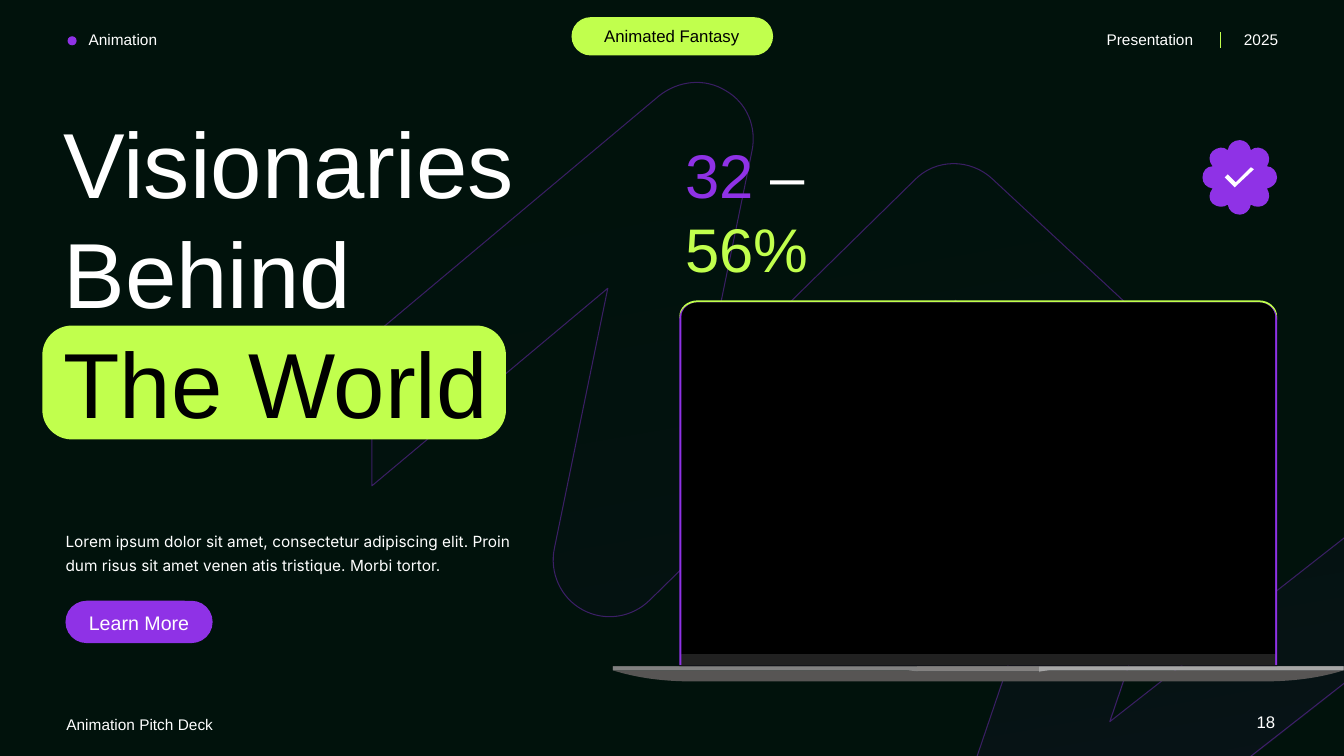
from lxml import etree
from pptx import Presentation
from pptx.dml.color import RGBColor
from pptx.enum.shapes import MSO_CONNECTOR, MSO_SHAPE
from pptx.enum.text import MSO_ANCHOR, MSO_AUTO_SIZE, PP_ALIGN
from pptx.oxml.ns import qn
from pptx.util import Inches, Pt

rgb = RGBColor.from_string
WHITE, BLACK, DARK = "FFFFFF", "000000", "01120C"
LIME, PURPLE = "C1FF4D", "8F32E6"

prs = Presentation()
prs.slide_width, prs.slide_height = Inches(40 / 3), Inches(7.5)
s = prs.slides.add_slide(prs.slide_layouts[1])
s.background.fill.solid()
s.background.fill.fore_color.rgb = rgb(DARK)


def write(sp, box, runs, size, font="Arial", align=PP_ALIGN.LEFT, top=0.05):
    """Place a text shape in front and fill it with coloured runs."""
    s.shapes._spTree.append(sp._element)
    sp.left, sp.top, sp.width, sp.height = [Inches(v) for v in box]
    tf = sp.text_frame
    tf.word_wrap, tf.auto_size = True, MSO_AUTO_SIZE.NONE
    tf.vertical_anchor, tf.margin_top = MSO_ANCHOR.TOP, Inches(top)
    p = tf.paragraphs[0]
    p.alignment = align
    for text, color in runs:
        r = p.add_run()
        r.text = text
        r.font.size, r.font.name = Pt(size), font
        r.font.color.rgb = rgb(color)
    return p


def outline(d, color=None):
    """Draw a closed path of M, L and C steps, in inches."""
    steps = []
    for step in d.split(","):
        v = [Inches(float(n)) for n in step.split()[1:]]
        steps.append(list(zip(v[::2], v[1::2])))
    ends = [step[-1] for step in steps]
    fb = s.shapes.build_freeform(*ends[0], scale=1.0)
    fb.add_line_segments(ends[1:], close=True)
    sp = fb.convert_to_shape()
    # Turn three-point steps into Bezier curves
    segments = list(next(sp._element.iter(qn("a:path"))))
    for segment, step in zip(segments, steps):
        if len(step) == 3:
            segment.tag = qn("a:cubicBezTo")
            segment.clear()
            for x, y in step:
                pt = etree.SubElement(segment, qn("a:pt"))
                pt.set("x", str(x - sp.left))
                pt.set("y", str(y - sp.top))
    sp.shadow.inherit = False
    sp.line.fill.background()
    if color:
        sp.fill.solid()
        sp.fill.fore_color.rgb = rgb(color)
    return sp


# Background bolt: faint glow, then its thin line
bolt = (
    "M 15.02 -0.15,L 16.61 -0.15,L 15.31 1.17,L 17.27 2.83,"
    "C 17.4 2.94 17.48 3.11 17.47 3.28,C 17.47 3.45 17.39 3.61 17.26 3.71,"
    "L 10.2 9.23,C 10.1 9.31 9.98 9.35 9.86 9.35,"
    "C 9.74 9.35 9.62 9.31 9.53 9.24,C 9.32 9.1 9.24 8.84 9.32 8.6,"
    "L 10.81 4.22,L 9.48 2.98,L 6.45 5.95,C 6.27 6.13 6 6.17 5.78 6.05,"
    "C 5.56 5.93 5.45 5.68 5.5 5.44,L 6.03 2.86,L 3.69 4.82,L 3.69 3.34,"
    "L 6.54 0.95,C 6.73 0.8 6.99 0.77 7.2 0.9,C 7.41 1.02 7.51 1.26 7.46 1.5,"
    "L 6.98 3.84,L 9.07 1.79,C 9.28 1.57 9.63 1.57 9.85 1.78,L 11.85 3.64,"
    "C 12.02 3.79 12.08 4.02 12 4.23,L 11.01 7.16,L 16.01 3.24,L 14.11 1.64,"
    "C 13.99 1.54 13.92 1.39 13.91 1.24,C 13.91 1.08 13.96 0.93 14.07 0.81")
glow = outline(bolt)
glow.fill.gradient()
glow.fill.gradient_angle = 280
for stop, color in zip(glow.fill.gradient_stops, (DARK, PURPLE)):
    stop.color.rgb = rgb(color)
edge = outline(bolt)
edge.fill.background()
edge.line.color.rgb = rgb(PURPLE)
edge.line.width = Pt(0.75)
tints = [*glow._element.spPr.iter(qn("a:srgbClr")), *edge._element.spPr.iter(qn("a:srgbClr"))]
for tint, alpha in zip(tints, (0, 9, 40)):
    etree.SubElement(tint, qn("a:alpha")).set("val", str(alpha * 1000))

# Laptop: base, hinge strips, frame
outline("M 13.33 6.65,C 13.08 6.73 12.81 6.76 12.54 6.76,L 6.86 6.76,"
        "C 6.6 6.76 6.33 6.73 6.08 6.65", "575554")
for low, left, notch, right in ((6.67, "505050", "565656", "767676"),
                                (6.66, "818181", "838180", "A7A7A7")):
    for outer, flat, inner, color in ((6.08, 9, 9.1, left), (13.33, 10.41, 10.31, right)):
        outline(f"M {outer} 6.61,L {outer} 6.65,L {flat} 6.65,"
                f"C {flat} 6.65 {inner} 6.66 {inner} {low},L {inner} 6.61", color)
    outline(f"M 9.1 6.61,L 9.1 {low},L 10.31 {low},L 10.31 6.61", notch)
outline("M 6.92 3,L 12.49 3,C 12.59 3 12.67 3.07 12.67 3.17,L 12.67 6.6,"
        "L 6.74 6.6,L 6.74 3.16,C 6.74 3.07 6.82 3 6.92 3", PURPLE)
outline("M 12.67 3.14,C 12.67 3.05 12.59 2.98 12.49 2.98,L 6.92 2.98,"
        "C 6.82 2.98 6.74 3.05 6.74 3.14,L 6.74 3.16,C 6.74 3.07 6.82 3 6.92 3,"
        "L 12.49 3,C 12.59 3 12.67 3.07 12.67 3.17", LIME)
outline("M 6.76 3.14,L 6.76 6.49,L 12.65 6.49,L 12.65 3.14,"
        "C 12.65 3.07 12.58 3 12.49 3,L 6.92 3,C 6.83 3 6.76 3.07 6.76 3.14", BLACK)

# Preset shapes: laptop chin and foot, dot, pills
for kind, box, color, adj in (
        (MSO_SHAPE.RECTANGLE, (6.76, 6.49, 5.89, 0.11), "212121", None),
        (MSO_SHAPE.RECTANGLE, (6.74, 6.6, 5.93, 0.01), "131313", None),
        (MSO_SHAPE.OVAL, (0.67, 0.36, 0.09, 0.09), PURPLE, None),
        (MSO_SHAPE.ROUNDED_RECTANGLE, (5.67, 0.17, 2, 0.38), LIME, 0.5),
        (MSO_SHAPE.ROUNDED_RECTANGLE, (0.42, 3.23, 4.6, 1.13), LIME, 0.26),
        (MSO_SHAPE.ROUNDED_RECTANGLE, (0.65, 5.96, 1.46, 0.42), PURPLE, 0.5)):
    sp = s.shapes.add_shape(kind, *[Inches(v) for v in box])
    sp.shadow.inherit = False
    sp.fill.solid()
    sp.fill.fore_color.rgb = rgb(color)
    sp.line.fill.background()
    if adj:
        sp.adjustments[0] = adj

# Check badge
outline("M 12.67 1.76,C 12.67 1.7 12.62 1.65 12.57 1.65,C 12.6 1.6 12.6 1.54 12.56 1.5,"
        "C 12.52 1.46 12.45 1.45 12.41 1.49,C 12.4 1.43 12.35 1.39 12.3 1.39,"
        "C 12.24 1.39 12.19 1.43 12.18 1.49,C 12.14 1.45 12.08 1.46 12.03 1.5,"
        "C 11.99 1.54 11.99 1.6 12.03 1.65,C 11.97 1.65 11.93 1.7 11.93 1.76,"
        "C 11.93 1.82 11.97 1.86 12.03 1.87,C 11.99 1.92 11.99 1.98 12.03 2.02,"
        "C 12.08 2.06 12.14 2.06 12.18 2.03,C 12.19 2.09 12.24 2.13 12.3 2.13,"
        "C 12.35 2.13 12.4 2.09 12.41 2.03,C 12.45 2.06 12.52 2.06 12.56 2.02,"
        "C 12.6 1.98 12.6 1.92 12.57 1.87,C 12.62 1.86 12.67 1.82 12.67 1.76", PURPLE)
outline("M 12.41 1.66,L 12.26 1.81,L 12.18 1.73,L 12.15 1.76,L 12.25 1.86,"
        "L 12.28 1.83,L 12.44 1.68", WHITE)

# Header divider
divider = s.shapes.add_connector(MSO_CONNECTOR.STRAIGHT, Inches(12.11), Inches(0.32),
                                 Inches(12.11), Inches(0.48))
divider.line.color.rgb = rgb(LIME)
divider.line.width = Pt(1)
etree.SubElement(divider._element.spPr, qn("a:effectLst"))

# Title, figure and body text
title, body = s.placeholders
p = write(title, (0.53, 1, 4.69, 3.43),
          [("Visionaries Behind ", WHITE), ("The World", BLACK)], 66, top=0.06)
p.line_spacing = Pt(78.6)
p = write(s.shapes.add_textbox(0, 0, 0, 0), (6.7, 1.3, 2.75, 0.84),
          [("32 ", PURPLE), ("–", WHITE), (" 56%", LIME)], 44, top=0.07)
p.line_spacing = Pt(52.3)
p = write(body, (0.55, 5.17, 4.69, 0.56),
          [("Lorem ipsum dolor sit amet, consectetur adipiscing elit. Proin dum risus "
            "sit amet venen atis tristique. Morbi tortor.", WHITE)], 11, "Inter")
pPr = p._p.get_or_add_pPr()
pPr.set("marL", "0")
pPr.set("indent", "0")
etree.SubElement(pPr, qn("a:buNone"))
p.line_spacing, p.space_before = 1.3, Pt(0)

# Labels
for text, box, size, color, align in (
        ("Animation", (0.78, 0.25, 1.28, 0.29), 11, WHITE, PP_ALIGN.LEFT),
        ("Presentation", (10.88, 0.25, 1.16, 0.29), 11, WHITE, PP_ALIGN.LEFT),
        ("2025", (12.16, 0.25, 0.62, 0.29), 11, WHITE, PP_ALIGN.RIGHT),
        ("18", (12.07, 7.01, 0.68, 0.3), 12, WHITE, PP_ALIGN.RIGHT),
        ("Animation Pitch Deck", (0.56, 7.04, 2.65, 0.29), 11, WHITE, PP_ALIGN.LEFT),
        ("Animated Fantasy", (5.86, 0.21, 1.61, 0.3), 12, BLACK, PP_ALIGN.CENTER),
        ("Learn More", (0.78, 6.01, 1.2, 0.34), 14, WHITE, PP_ALIGN.CENTER)):
    write(s.shapes.add_textbox(0, 0, 0, 0), box, [(text, color)], size, align=align)

prs.save("out.pptx")
